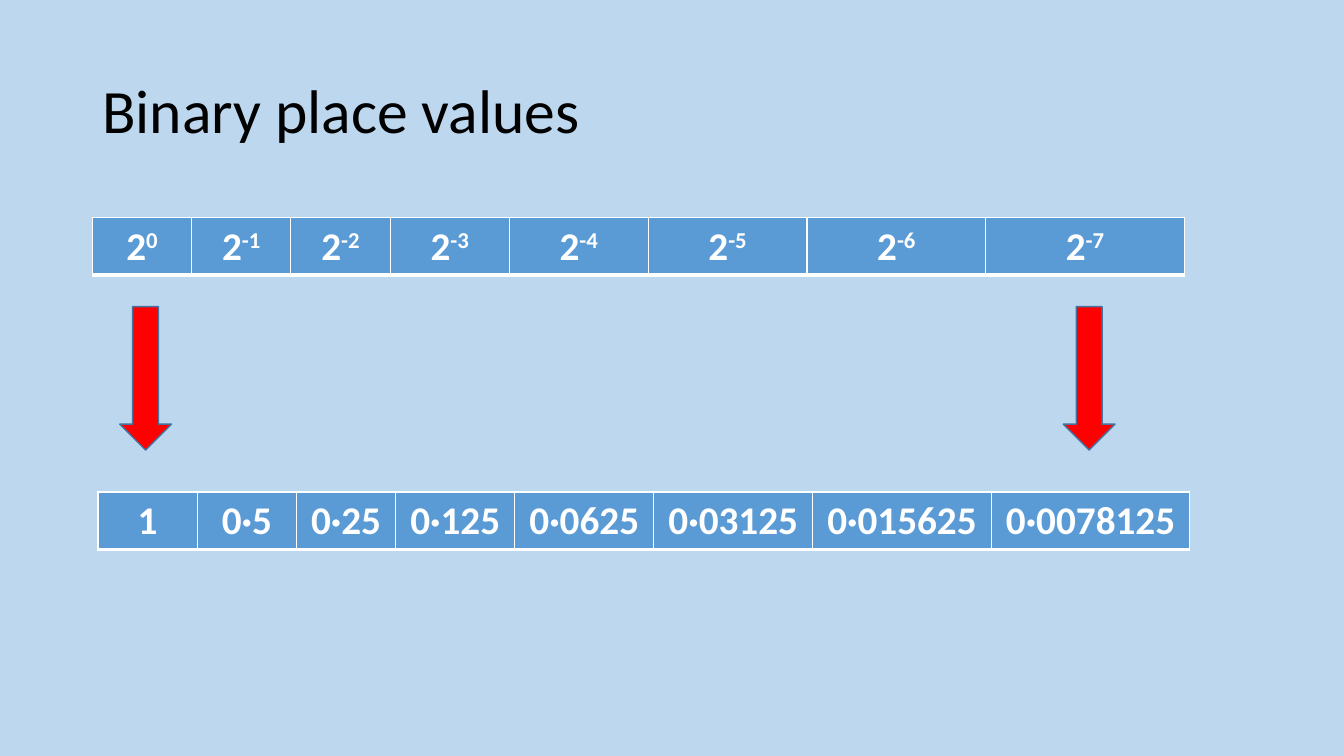
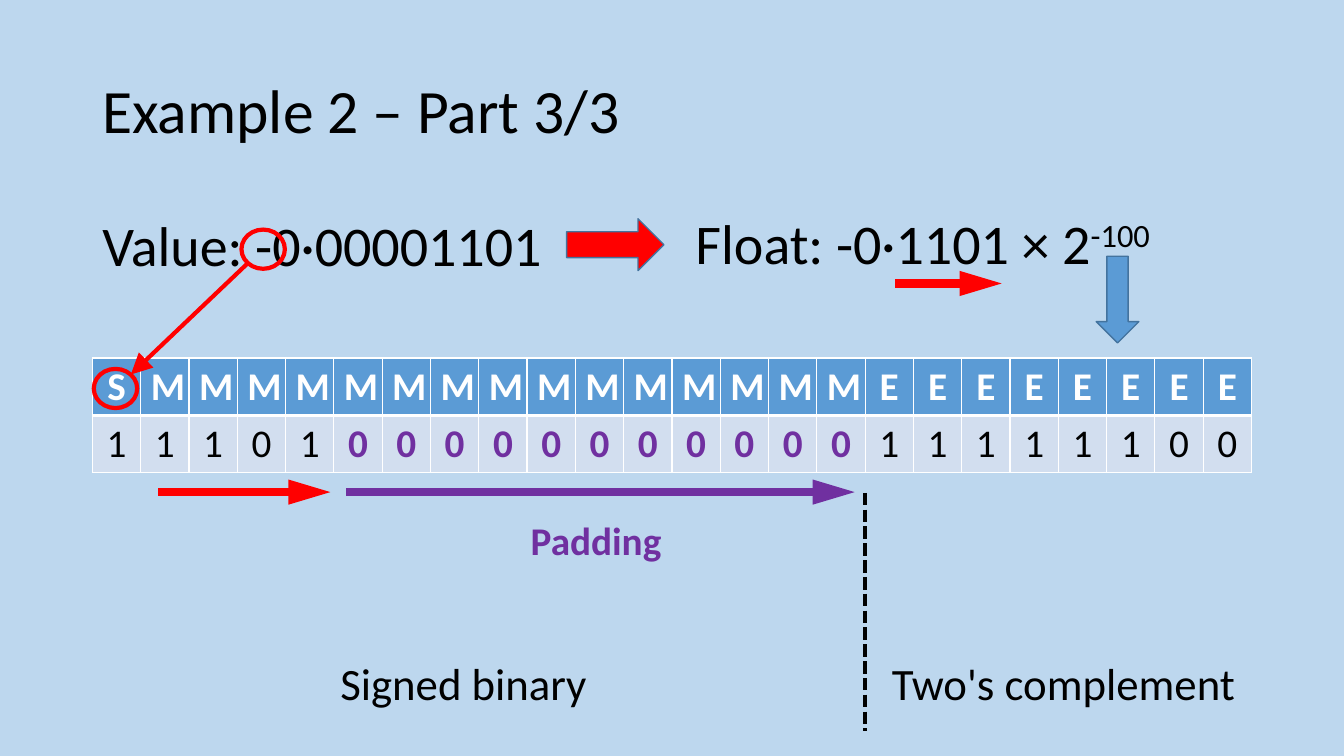
from lxml.etree import SubElement
from pptx import Presentation
from pptx.dml.color import RGBColor
from pptx.enum.dml import MSO_LINE
from pptx.enum.shapes import MSO_CONNECTOR, MSO_SHAPE
from pptx.enum.text import MSO_ANCHOR, PP_ALIGN
from pptx.oxml.ns import qn
from pptx.util import Pt

COLOURS = {
    "background": "BDD7EE",
    "header": "5B9BD5",
    "body": "D2DEEF",
    "outline": "43739E",
    "red": "FF0000",
    "purple": "7030A0",
    "black": "000000",
    "white": "FFFFFF",
}
RGB = {name: RGBColor.from_string(value) for name, value in COLOURS.items()}
FONT = "Calibri"
MARGIN = 66
ROW_HEIGHT = 41


def write(paragraph, text, size, colour="black", bold=False, align=PP_ALIGN.LEFT):
    paragraph.alignment = align
    base, _, power = text.partition("^")
    for part, baseline in ((base, None), (power, "30000")):
        if part:
            run = paragraph.add_run()
            run.text = part
            for key, value in {"name": FONT, "size": Pt(size), "bold": bold}.items():
                setattr(run.font, key, value)
            run.font.color.rgb = RGB[colour]
            if baseline:
                run.font._element.set("baseline", baseline)


def add_text(slide, text, box, wrap=False, anchor=MSO_ANCHOR.TOP, spacing=1, **style):
    frame = slide.shapes.add_textbox(*map(Pt, box)).text_frame
    for key, value in {"word_wrap": wrap, "vertical_anchor": anchor}.items():
        setattr(frame, key, value)
    frame.paragraphs[0].line_spacing = spacing
    write(frame.paragraphs[0], text, **style)


deck = Presentation()
deck.slide_width, deck.slide_height = Pt(960), Pt(540)
backdrop = deck.slide_master.background.fill
backdrop.solid()
backdrop.fore_color.rgb = RGB["background"]

slides = []
for title in ("Binary place values", "Example 2 – Part 3/3"):
    slide = deck.slides.add_slide(deck.slide_layouts[6])
    add_text(slide, title, (MARGIN, 28.8, 828, 104.4), wrap=True,
             anchor=MSO_ANCHOR.MIDDLE, spacing=0.9, size=44)
    slides.append(slide)
place_slide, float_slide = slides

place_shares = [5, 5, 5, 6, 7, 8, 9, 10]
place_widths = [780 * share / sum(place_shares) for share in place_shares]
powers = ["2^0"] + [f"2^-{n}" for n in range(1, 8)]
values = "1 0·5 0·25 0·125 0·0625 0·03125 0·015625 0·0078125".split()
field_letters = "S" + "M" * 15 + "E" * 8
field_bits = "11101" + "0" * 11 + "11111100"
padding_columns = range(5, 16)

for slide, left, top, widths, rows in (
    (place_slide, MARGIN, 155.5, place_widths, [powers]),
    (place_slide, 70, 351.5, place_widths, [values]),
    (float_slide, MARGIN, 255.75, [34.5] * 24, [field_letters, field_bits]),
):
    table = slide.shapes.add_table(
        len(rows), len(widths), Pt(left), Pt(top),
        Pt(sum(widths)), Pt(ROW_HEIGHT * len(rows))).table
    for column, width in zip(table.columns, widths):
        column.width = Pt(width)
    for r, row in enumerate(rows):
        table.rows[r].height = Pt(ROW_HEIGHT)
        header = r == 0
        for c, entry in enumerate(row):
            cell = table.cell(r, c)
            borders = {"lnL": 1, "lnR": 1, "lnT": 1 if header else 3, "lnB": 3 if header else 1}
            cell_properties = cell._tc.get_or_add_tcPr()
            for side, weight in borders.items():
                border = SubElement(cell_properties, qn(f"a:{side}"), w=str(Pt(weight)))
                border_fill = SubElement(border, qn("a:solidFill"))
                SubElement(border_fill, qn("a:srgbClr"), val=COLOURS["white"])
            cell.fill.solid()
            cell.fill.fore_color.rgb = RGB["header" if header else "body"]
            padding = not header and c in padding_columns
            colour = "white" if header else "purple" if padding else "black"
            write(cell.text_frame.paragraphs[0], entry, 28, colour,
                  header or padding, PP_ALIGN.CENTER)

for text, box, style in (
    ("Value: -0·00001101", (MARGIN, 147, 332, 55.5), {"size": 40}),
    ("Padding", (371.5, 365, 108.5, 41),
     {"size": 28, "colour": "purple", "bold": True, "align": PP_ALIGN.CENTER}),
    ("Float: -0·1101 × 2^-100", (480, 145.5, 348.5, 55.5),
     {"size": 40, "align": PP_ALIGN.RIGHT}),
    ("Signed binary", (236, 465, 230.5, 46), {"size": 32, "wrap": True}),
    ("Two's complement", (630, 465, 268.5, 46), {"size": 32, "wrap": True}),
):
    add_text(float_slide, text, box, **style)

sign_link = float_slide.shapes.add_group_shape().shapes

for shapes, kind, box, fill, outline, weight, rotation in (
    (place_slide.shapes, MSO_SHAPE.DOWN_ARROW, (85.5, 219, 37, 102.5), "red", "outline", 1, 0),
    (place_slide.shapes, MSO_SHAPE.DOWN_ARROW, (759.5, 219, 37, 102.5), "red", "outline", 1, 0),
    (float_slide.shapes, MSO_SHAPE.DOWN_ARROW, (421, 140, 37, 69.5), "red", "outline", 1, 270),
    (float_slide.shapes, MSO_SHAPE.DOWN_ARROW, (783, 183, 30.5, 62), "header", "outline", 1, 0),
    (sign_link, MSO_SHAPE.OVAL, (172.5, 164, 31, 28), None, "red", 3, 0),
    (sign_link, MSO_SHAPE.OVAL, (67, 263.5, 31, 28), None, "red", 3, 0),
):
    mark = shapes.add_shape(kind, *map(Pt, box))
    mark.shadow.inherit = False
    mark.rotation = rotation
    if fill:
        mark.fill.solid()
        mark.fill.fore_color.rgb = RGB[fill]
    else:
        mark.fill.background()
    mark.line.color.rgb = RGB[outline]
    mark.line.width = Pt(weight)

for shapes, ends, colour, weight, head_width in (
    (float_slide.shapes, (113, 351.5, 236, 351.5), "red", 6, "med"),
    (float_slide.shapes, (247.5, 351.5, 610.5, 351.5), "purple", 6, "med"),
    (float_slide.shapes, (639.5, 202.5, 715.5, 202.5), "red", 6, "med"),
    (float_slide.shapes, (618, 352, 618, 522), "black", 3, None),
    (sign_link, (177, 188, 93.5, 267.5), "red", 3, "lg"),
):
    link = shapes.add_connector(MSO_CONNECTOR.STRAIGHT, *map(Pt, ends))
    link.line.color.rgb = RGB[colour]
    link.line.width = Pt(weight)
    if head_width:
        SubElement(link.line._get_or_add_ln(), qn("a:tailEnd"),
                   type="triangle", w=head_width, len="lg")
    else:
        link.line.dash_style = MSO_LINE.SQUARE_DOT
    SubElement(link._element.spPr, qn("a:effectLst"))

deck.save("out.pptx")
